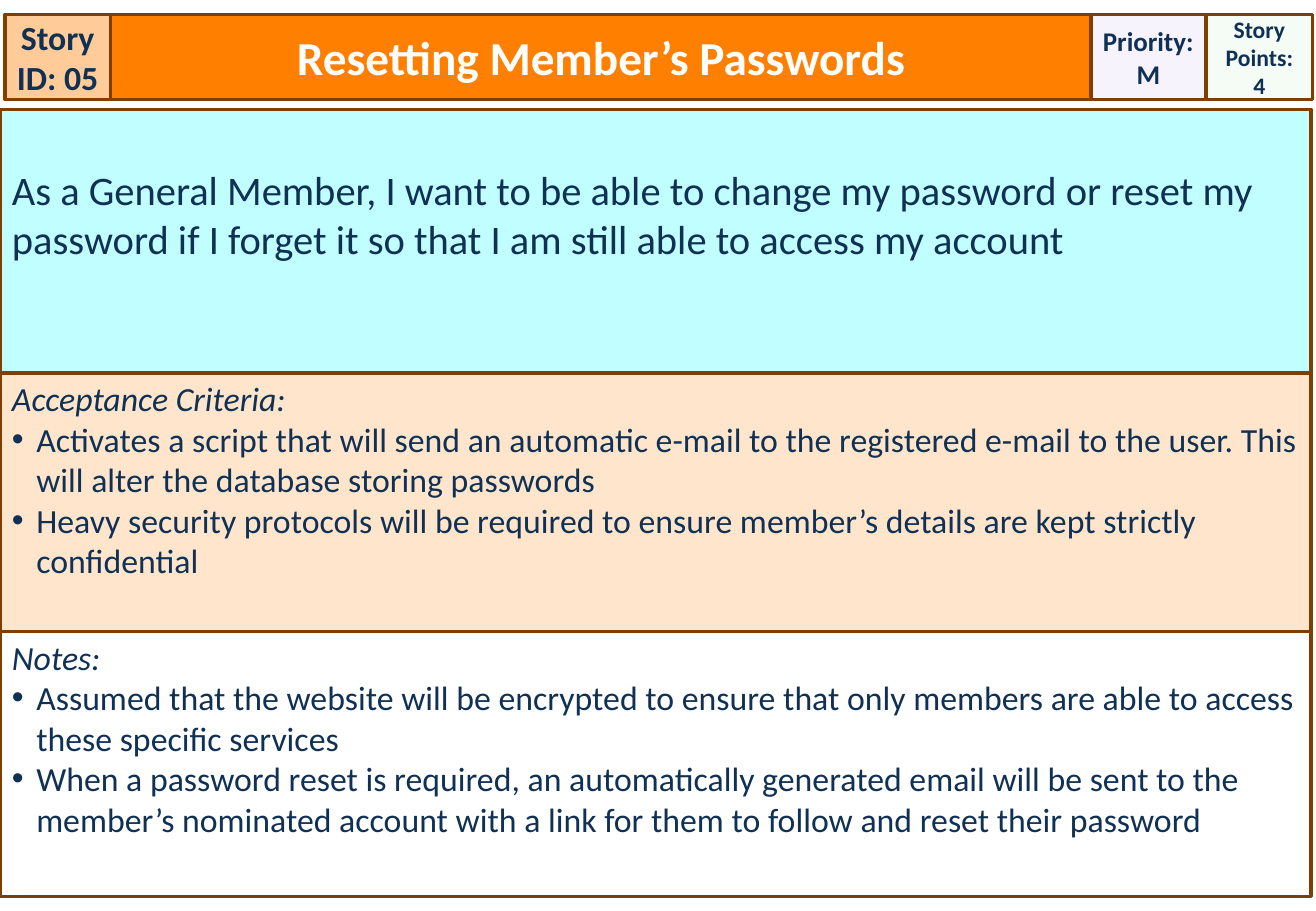
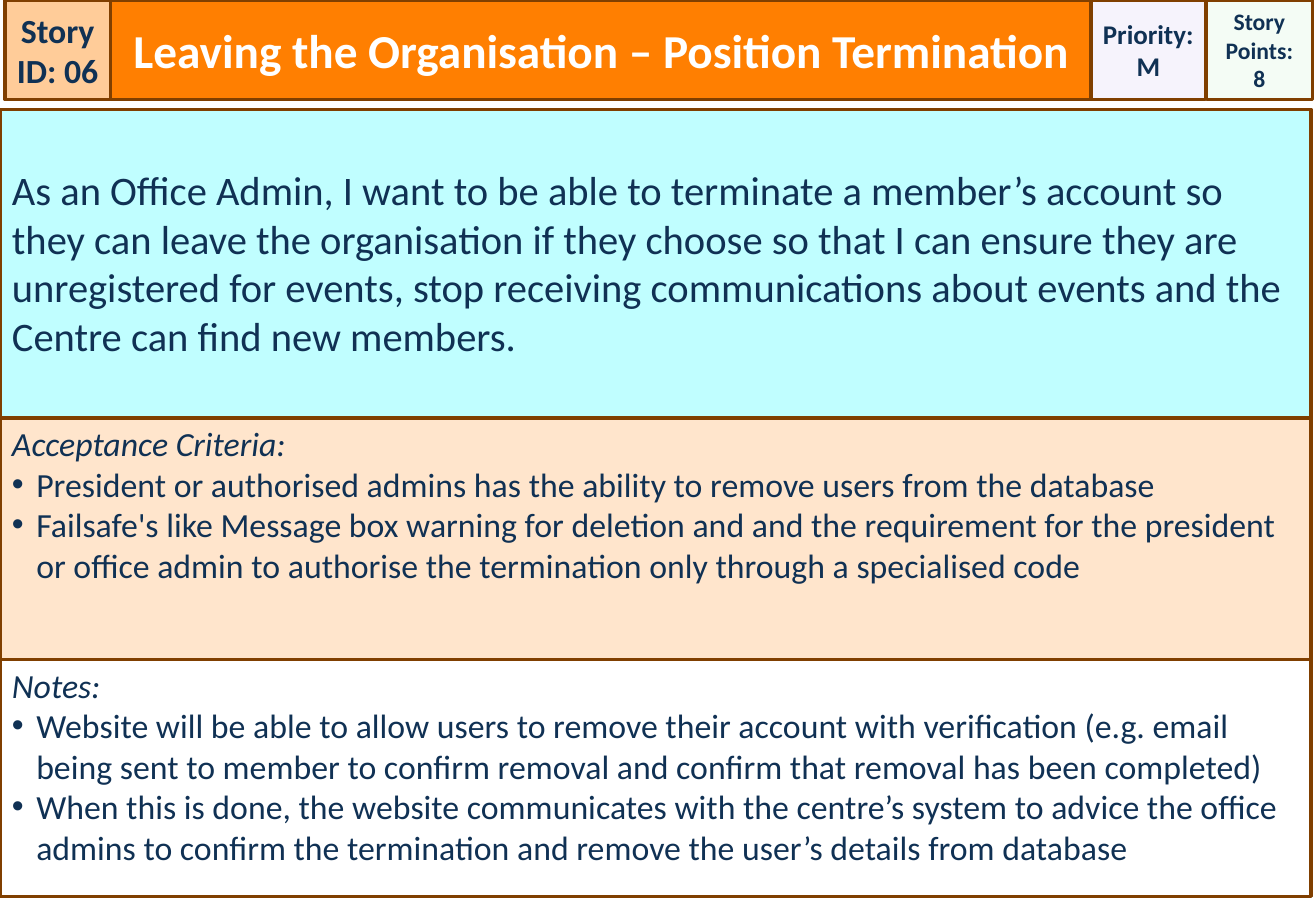
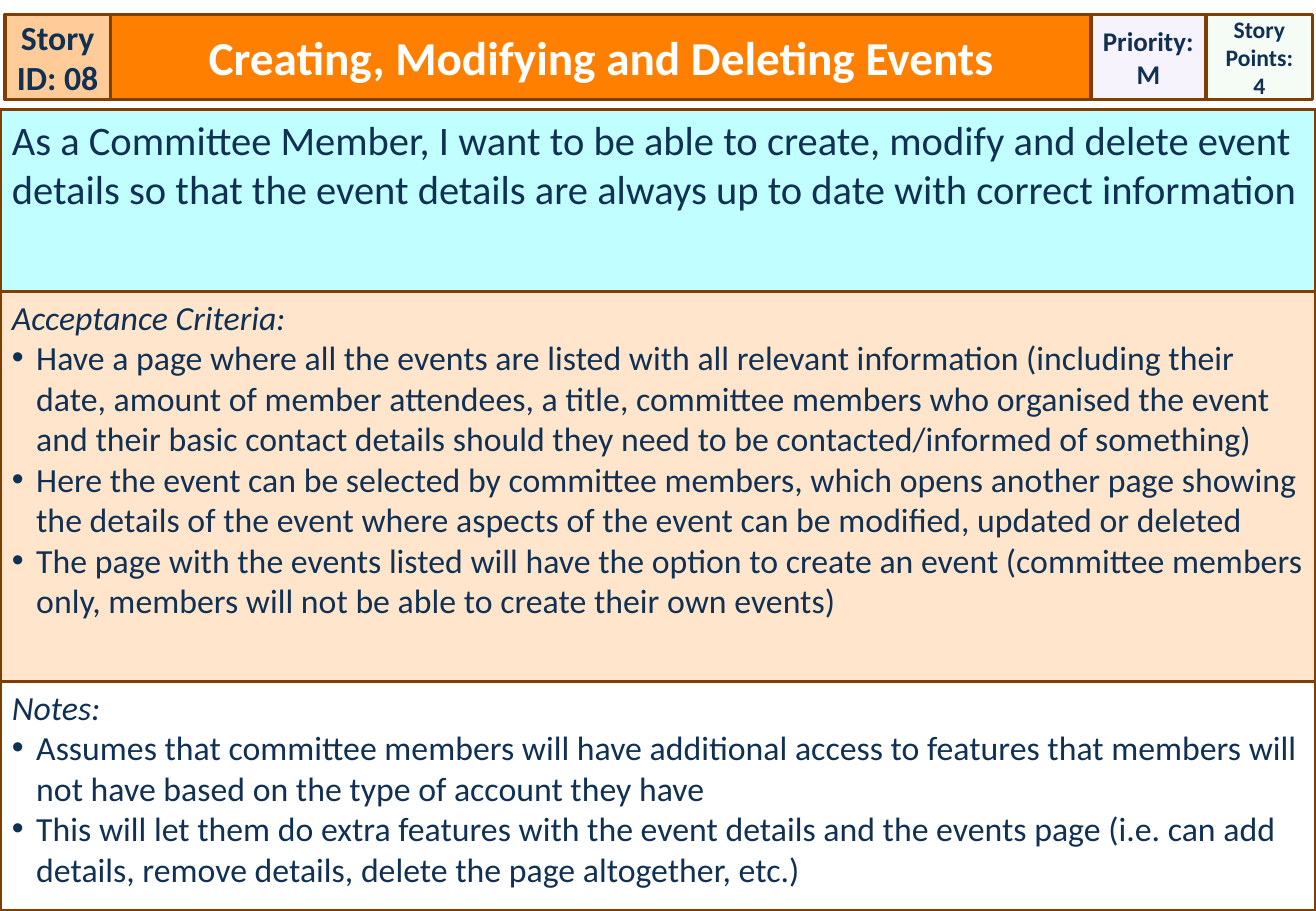
from lxml.etree import SubElement
from pptx import Presentation
from pptx.dml.color import RGBColor
from pptx.enum.shapes import MSO_SHAPE
from pptx.enum.text import MSO_ANCHOR, MSO_AUTO_SIZE, PP_ALIGN
from pptx.oxml.ns import qn
from pptx.util import Inches, Pt

# Content: one dict per story card; edges are the section borders, top to bottom
STORIES = [
    {
        "id": "05", "title": "Resetting Member’s Passwords", "priority": "M", "points": "4",
        "top": 0.12, "width": 10.79, "edges": [0.9, 3.07, 5.2, 7.38], "story_inset": 0.46,
        "story": "As a General Member, I want to be able to change my password or reset my "
                 "password if I forget it so that I am still able to access my account",
        "criteria": [
            "Activates a script that will send an automatic e-mail to the registered e-mail to "
            "the user. This will alter the database storing passwords",
            "Heavy security protocols will be required to ensure member’s details are kept "
            "strictly confidential",
        ],
        "notes": [
            "Assumed that the website will be encrypted to ensure that only members are able to "
            "access these specific services",
            "When a password reset is required, an automatically generated email will be sent to "
            "the member’s nominated account with a link for them to follow and reset their password",
        ],
    },
    {
        "id": "06", "title": "Leaving the Organisation – Position Termination",
        "priority": "M", "points": "8",
        "top": 0, "width": 10.79, "edges": [0.9, 3.44, 5.43, 7.38], "story_inset": 0.46,
        "story": "As an Office Admin, I want to be able to terminate a member’s account so they "
                 "can leave the organisation if they choose so that I can ensure they are "
                 "unregistered for events, stop receiving communications about events and the "
                 "Centre can find new members.",
        "criteria": [
            "President or authorised admins has the ability to remove users from the database",
            "Failsafe's like Message box warning for deletion and and the requirement for the "
            "president or office admin to authorise the termination only through a specialised code",
        ],
        "notes": [
            "Website will be able to allow users to remove their account with verification (e.g. "
            "email being sent to member to confirm removal and confirm that removal has been "
            "completed)",
            "When this is done, the website communicates with the centre’s system to advice the "
            "office admins to confirm the termination and remove the user’s details from database",
        ],
    },
    {
        "id": "08", "title": "Creating, Modifying and Deleting Events",
        "priority": "M", "points": "4",
        "top": 0.12, "width": 10.83, "edges": [0.9, 2.4, 5.61, 7.5], "story_inset": 0.05,
        "story": "As a Committee Member, I want to be able to create, modify and delete event "
                 "details so that the event details are always up to date with correct information",
        "criteria": [
            "Have a page where all the events are listed with all relevant information (including "
            "their date, amount of member attendees, a title, committee members who organised the "
            "event and their basic contact details should they need to be contacted/informed of "
            "something)",
            "Here the event can be selected by committee members, which opens another page showing "
            "the details of the event where aspects of the event can be modified, updated or deleted",
            "The page with the events listed will have the option to create an event (committee "
            "members only, members will not be able to create their own events)",
        ],
        "notes": [
            "Assumes that committee members will have additional access to features that members "
            "will not have based on the type of account they have",
            "This will let them do extra features with the event details and the events page (i.e. "
            "can add details, remove details, delete the page altogether, etc.)",
        ],
    },
]

# Shared look
INK, BORDER, WHITE = "103154", "803F00", "FFFFFF"
ORANGE, PEACH, CYAN, CREAM = "FF7F01", "FFCC99", "C0FEFF", "FFE5CC"
LILAC, GREEN = "F6F3FC", "CCF0CD"
HEADER_BOTTOM = 0.82
HEADING = {"size": Pt(20), "italic": True}
BODY = {"size": Pt(20)}
STORY = {"size": Pt(24)}
TITLE = {"size": Pt(28), "bold": True}


def rgb(value):
    return RGBColor.from_string(value)


def style_box(sp, box, fill, paragraphs, ink=INK, margins=(0.1, 0.05, 0.1, 0.05), header=False):
    """Place and format a box; paragraphs are (text, font format, bulleted)."""
    for name, value in zip(("left", "top", "width", "height"), box):
        setattr(sp, name, Inches(value))
    sp.fill.solid()
    sp.fill.fore_color.rgb = rgb(fill)
    sp.line.color.rgb = rgb(BORDER)
    sp.line.width = Pt(2)
    sp.shadow.inherit = False
    tf = sp.text_frame
    tf.word_wrap = True
    tf.auto_size = MSO_AUTO_SIZE.NONE
    tf.vertical_anchor = MSO_ANCHOR.MIDDLE if header else MSO_ANCHOR.TOP
    for side, value in zip(("left", "top", "right", "bottom"), margins):
        setattr(tf, "margin_" + side, Inches(value))
    for i, (text, look, bulleted) in enumerate(paragraphs):
        p = tf.add_paragraph() if i else tf.paragraphs[0]
        p.alignment = PP_ALIGN.CENTER if header else PP_ALIGN.LEFT
        if bulleted:
            add_bullet(p)
        r = p.add_run()
        r.text = text
        r.font.color.rgb = rgb(ink)
        for name, value in {"name": "Calibri", **look}.items():
            setattr(r.font, name, value)


def add_bullet(p):
    pPr = p._p.get_or_add_pPr()
    pPr.set("marL", str(Inches(0.2)))
    pPr.set("indent", str(-Inches(0.2)))
    SubElement(pPr, qn("a:buFont")).set("typeface", "Arial")
    SubElement(pPr, qn("a:buChar")).set("char", "•")


def add_box(s, *args, **options):
    sp = s.shapes.add_shape(MSO_SHAPE.RECTANGLE, 0, 0, 0, 0)
    style_box(sp, *args, **options)
    return sp


def add_header(s, story):
    top = story["top"]
    height = HEADER_BOTTOM - top
    style_box(s.shapes.title, (0.91, top, 8.07, height), ORANGE,
              [(story["title"], TITLE, False)], ink=WHITE, header=True)
    cells = [
        (0.04, 0.87, PEACH, 20, ["Story ID: " + story["id"]]),
        (9.93, 0.87, GREEN, 14, ["Story Points:", story["points"]]),
        (8.98, 0.94, LILAC, 16, ["Priority:", story["priority"]]),
    ]
    for left, width, fill, size, lines in cells:
        look = {"size": Pt(size), "bold": True}
        sp = add_box(s, (left, top, width, height), fill,
                     [(line, look, False) for line in lines],
                     margins=(0, 0.05, 0, 0.05), header=True)
        if fill == GREEN:  # pale tint: 20 % opacity
            color = sp.fill._xPr.find(qn("a:solidFill"))[0]
            SubElement(color, qn("a:alpha")).set("val", "20000")
        if fill == LILAC:
            sp.text_frame.word_wrap = False


def add_sections(s, story):
    def listing(heading, items):
        return [(heading, HEADING, False)] + [(item, BODY, True) for item in items]

    sections = [
        (CYAN, story["story_inset"], [(story["story"], STORY, False)]),
        (CREAM, 0.04, listing("Acceptance Criteria:", story["criteria"])),
        (WHITE, 0.04, listing("Notes:", story["notes"])),
    ]
    edges = story["edges"]
    for top, bottom, (fill, inset, paragraphs) in zip(edges, edges[1:], sections):
        add_box(s, (0, top, story["width"], bottom - top), fill, paragraphs,
                margins=(0.1, inset, 0.1, 0.05))


def main():
    prs = Presentation()
    prs.slide_width, prs.slide_height = Inches(10.83), Inches(7.5)
    for story in STORIES:
        s = prs.slides.add_slide(prs.slide_layouts[5])
        add_header(s, story)
        add_sections(s, story)
    prs.save("out.pptx")


if __name__ == "__main__":
    main()
